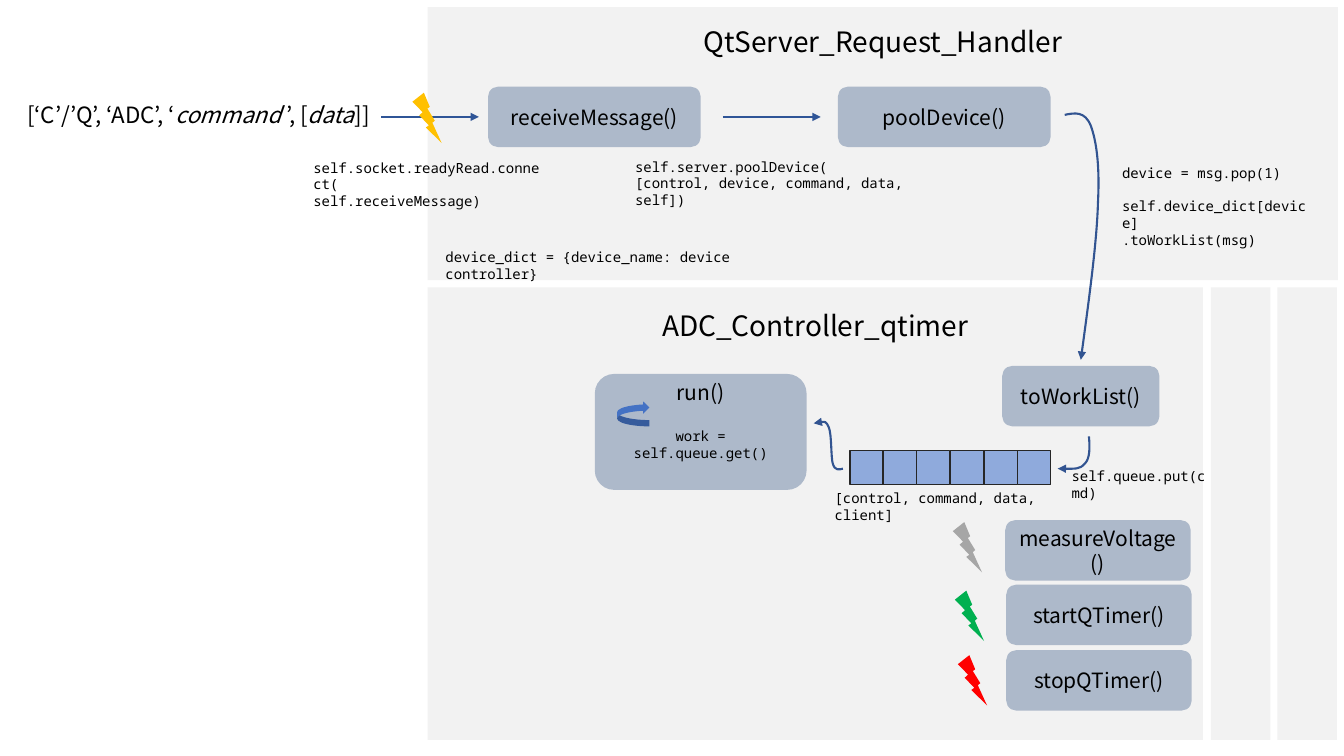
from dataclasses import dataclass

from lxml import etree
from pptx import Presentation
from pptx.dml.color import RGBColor
from pptx.enum.shapes import MSO_CONNECTOR, MSO_SHAPE
from pptx.enum.text import MSO_ANCHOR, MSO_AUTO_SIZE, PP_ALIGN
from pptx.oxml.ns import qn
from pptx.util import Emu, Pt

RECT, ROUND = MSO_SHAPE.RECTANGLE, MSO_SHAPE.ROUNDED_RECTANGLE
BOLT, LOOP = MSO_SHAPE.LIGHTNING_BOLT, MSO_SHAPE.CURVED_RIGHT_ARROW
STRAIGHT = MSO_CONNECTOR.STRAIGHT
TOP, MIDDLE = MSO_ANCHOR.TOP, MSO_ANCHOR.MIDDLE
LEFT, CENTER = PP_ALIGN.LEFT, PP_ALIGN.CENTER
FIXED = MSO_AUTO_SIZE.NONE
SCALE = 9144
TITLE_ONLY = 5


@dataclass(frozen=True)
class Theme:
    """Colours, fonts and type sizes of the slide."""
    ink: str = "000000"
    panel: str = "F2F2F2"
    step: str = "ADB9CA"
    cell: str = "8FAADC"
    edge: str = "262626"
    arrow: str = "2F5597"
    curve: str = "325491"
    loop: str = "4472C4"
    amber: str = "FFC000"
    gray: str = "A6A6A6"
    green: str = "00B050"
    red: str = "FF0000"
    sans: str = "Noto Sans CJK KR"
    mono: str = "Noto Sans Mono"
    head: int = 20
    label: int = 16
    name: int = 15
    code: int = 10


THEME = Theme()


def px(*sizes):
    """Turn px lengths into EMU."""
    return [Emu(size * SCALE) for size in sizes]


def paint(shape, color):
    """Fill a shape with one colour and drop its line."""
    shape.fill.solid()
    shape.fill.fore_color.rgb = RGBColor.from_string(color)
    shape.line.fill.background()


def style(para, font, size, align=LEFT):
    """Format every run of a paragraph."""
    para.alignment = align
    for run in para.runs:
        run.font.name = font
        run.font.size = Pt(size)
        run.font.color.rgb = RGBColor.from_string(THEME.ink)


def add_block(shapes, kind, box, color):
    """Add a plain filled shape."""
    shape = shapes.add_shape(kind, *px(*box))
    shape.shadow.inherit = False
    paint(shape, color)
    return shape


def set_head(shape, text, inset):
    """Write a heading at the top of a panel."""
    frame = shape.text_frame
    frame.text = text
    frame.auto_size = FIXED
    frame.word_wrap = True
    frame.vertical_anchor = TOP
    frame.margin_top, = px(inset)
    style(frame.paragraphs[0], THEME.sans, THEME.head, CENTER)


def add_step(shapes, box, text):
    """Add a rounded box that names a method."""
    shape = add_block(shapes, ROUND, box, THEME.step)
    frame = shape.text_frame
    frame.text = text
    frame.word_wrap = True
    frame.vertical_anchor = MIDDLE
    style(frame.paragraphs[0], THEME.sans, THEME.name, CENTER)
    return frame


def add_code(shapes, box, text, gap=0):
    """Add lines of code, with a gap before the second."""
    frame = shapes.add_textbox(*px(*box)).text_frame
    frame.word_wrap = True
    frame.text = text
    for para in frame.paragraphs:
        style(para, THEME.mono, THEME.code)
    if gap:
        frame.paragraphs[1].space_before = Pt(gap)


def add_label(shapes, box, parts):
    """Add one line whose every second part is italic."""
    frame = shapes.add_textbox(*px(*box)).text_frame
    frame.word_wrap = False
    para = frame.paragraphs[0]
    for index, part in enumerate(parts):
        run = para.add_run()
        run.text = part
        run.font.italic = index % 2 == 1
    style(para, THEME.sans, THEME.label)


def set_arrow(shape, color):
    """Draw the line of a shape with an arrowhead at its end."""
    shape.line.color.rgb = RGBColor.from_string(color)
    shape.line.width = Pt(1.5)
    line = shape.line._get_or_add_ln()
    etree.SubElement(line, qn("a:tailEnd"), type="triangle")


def add_arrow(shapes, left, right, y):
    """Add a level arrow."""
    arrow = shapes.add_connector(STRAIGHT, *px(left, y, right, y))
    set_arrow(arrow, THEME.arrow)
    etree.SubElement(arrow._element.spPr, qn("a:effectLst"))


def add_curve(shapes, start, *points):
    """Add a curved arrow, three points to each bend."""
    draft = shapes.build_freeform(*start, scale=SCALE)
    draft.add_line_segments(points, close=False)
    shape = draft.convert_to_shape()
    shape.shadow.inherit = False
    shape.fill.background()
    set_arrow(shape, THEME.curve)
    lines = list(shape._element.iter(qn("a:lnTo")))
    for first in range(0, len(lines), 3):
        bend = etree.Element(qn("a:cubicBezTo"))
        lines[first].addprevious(bend)
        for line in lines[first:first + 3]:
            bend.append(line[0])
            line.getparent().remove(line)


def add_queue(shapes, count=6):
    """Add the row of queue cells as a group."""
    group = shapes.add_group_shape()
    for index in range(count):
        left = 843 + round(index * 166 / (count - 1))
        cell = add_block(group.shapes, RECT, (left, 447, 33, 34), THEME.cell)
        cell.line.color.rgb = RGBColor.from_string(THEME.edge)
        cell.line.width = Pt(1)


def add_run(shapes):
    """Add the run box with its code and loop sign."""
    frame = add_step(shapes, (590, 371, 210, 115), "run()\nwork = self.queue.get()")
    frame.vertical_anchor = TOP
    frame.margin_top = 0
    work = frame.paragraphs[1]
    style(work, THEME.mono, THEME.code, CENTER)
    work.space_before = Pt(16)
    loop = add_block(shapes, LOOP, (612, 398, 32, 25), THEME.loop)
    loop._element.spPr.xfrm.set("flipV", "1")


def main():
    """Build the slide and save it."""
    deck = Presentation()
    deck.slide_width, deck.slide_height = px(1333, 750)
    slide = deck.slides.add_slide(deck.slide_layouts[TITLE_ONLY])
    shapes = slide.shapes

    title = shapes.title
    title.left, title.top, title.width, title.height = px(424, 7, 903, 271)
    paint(title, THEME.panel)
    set_head(title, "QtServer_Request_Handler", 17)
    panels = [add_block(shapes, RECT, (left, 285, width, 449), THEME.panel)
              for left, width in ((424, 769), (1201, 59), (1267, 59))]
    set_head(panels[0], "ADC_Controller_qtimer", 21)

    add_label(shapes, (17, 95, 361, 42),
              ("[‘C’/’Q’, ‘ADC’, ‘", "command ", "’, [", "data", "]]"))
    for left, right in ((378, 475), (717, 814)):
        add_arrow(shapes, left, right, 116)
    for box, text in (
        ((484, 86, 211, 60), "receiveMessage()"),
        ((831, 86, 211, 60), "poolDevice()"),
        ((994, 363, 156, 60), "toWorkList()"),
        ((997, 516, 184, 60), "measureVoltage()"),
        ((998, 580, 184, 60), "startQTimer()"),
        ((998, 645, 184, 60), "stopQTimer()"),
    ):
        add_step(shapes, box, text)
    add_run(shapes)
    add_queue(shapes)

    for left, top, color in ((409, 92, THEME.amber), (945, 518, THEME.gray),
                             (947, 586, THEME.green), (950, 650, THEME.red)):
        add_block(shapes, BOLT, (left, top, 29, 50), color)

    add_curve(shapes, (1056, 114), (1066, 112), (1076, 110), (1082, 125),
              (1087, 139), (1091, 162), (1089, 201),
              (1088, 239), (1080, 298), (1072, 357))
    add_curve(shapes, (1080, 433), (1081, 444), (1081, 455), (1076, 460),
              (1071, 466), (1060, 465), (1049, 465))
    add_curve(shapes, (836, 465), (832, 466), (828, 467), (826, 460),
              (824, 454), (825, 431), (822, 424),
              (819, 417), (813, 418), (807, 420))

    for box, text in (
        ((301, 153, 252, 44), "self.socket.readyRead.connect(\nself.receiveMessage)"),
        ((620, 152, 321, 44),
         "self.server.poolDevice(\n[control, device, command, data, self])"),
        ((432, 242, 376, 27), "device_dict = {device_name: device controller}"),
        ((1053, 459, 158, 27), "self.queue.put(cmd)"),
        ((818, 481, 267, 27), "[control, command, data, client]"),
    ):
        add_code(shapes, box, text)
    add_code(shapes, (1103, 158, 205, 77),
             "device = msg.pop(1)\nself.device_dict[device]\n.toWorkList(msg)", 12)
    deck.save("out.pptx")


if __name__ == "__main__":
    main()
